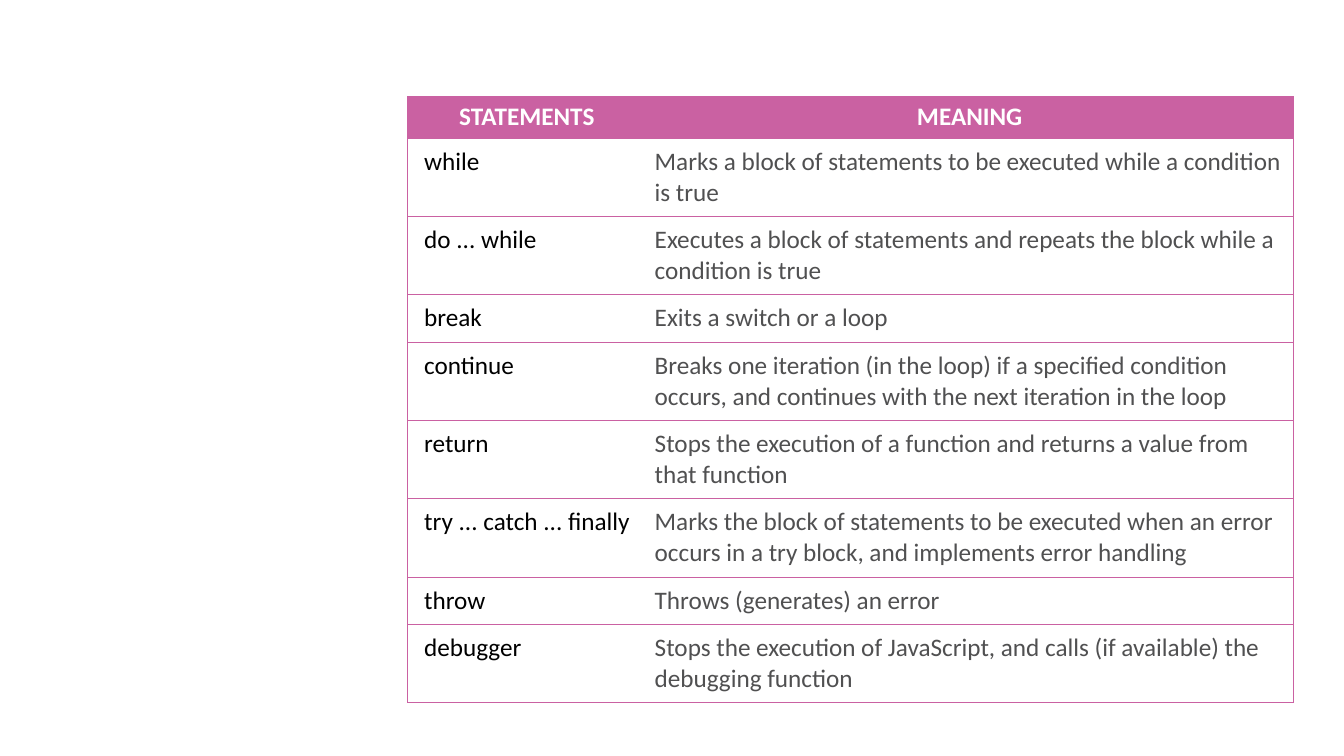
from lxml import etree
from pptx import Presentation
from pptx.dml.color import RGBColor
from pptx.enum.text import PP_ALIGN
from pptx.oxml.ns import qn
from pptx.util import Pt

CENTER, LEFT = PP_ALIGN.CENTER, PP_ALIGN.LEFT
BLANK_LAYOUT = 6
COLORS = {"pink": "CA61A2", "white": "FFFFFF", "black": "000000", "gray": "505051"}
BORDER_WIDTH = 0.5
ROW_HEIGHT = 29.5
COLUMN_WIDTHS = (170.7, 461.8)
HEADINGS = ("STATEMENTS", "MEANING")
STATEMENTS = [
    ("while", "Marks a block of statements to be executed while a condition is true"),
    ("do ... while", "Executes a block of statements and repeats the block while a condition is true"),
    ("break", "Exits a switch or a loop"),
    ("continue", "Breaks one iteration (in the loop) if a specified condition occurs, "
                 "and continues with the next iteration in the loop"),
    ("return", "Stops the execution of a function and returns a value from that function"),
    ("try ... catch ... finally", "Marks the block of statements to be executed when an error "
                                  "occurs in a try block, and implements error handling"),
    ("throw", "Throws (generates) an error"),
    ("debugger", "Stops the execution of JavaScript, and calls (if available) the debugging function"),
]
HEADING_MARGINS = {"margin_left": 7.2, "margin_top": 3.6, "margin_right": 7.2, "margin_bottom": 3.6}
MEANING_MARGINS = {"margin_left": 6, "margin_top": 6, "margin_right": 6, "margin_bottom": 6}
KEYWORD_MARGINS = {**MEANING_MARGINS, "margin_left": 12}


def set_borders(cell, visible_sides):
    properties = cell._tc.get_or_add_tcPr()
    for position, side in enumerate("LRTB"):
        border = etree.Element(qn(f"a:ln{side}"), w=str(Pt(BORDER_WIDTH)))
        if side in visible_sides:
            fill = etree.SubElement(border, qn("a:solidFill"))
            etree.SubElement(fill, qn("a:srgbClr"), val=COLORS["pink"])
        else:
            etree.SubElement(border, qn("a:noFill"))
        properties.insert(position, border)


def write_cell(cell, wording, margins, color, align, bold):
    for name, value in margins.items():
        setattr(cell, name, Pt(value))
    cell.text = wording
    paragraph = cell.text_frame.paragraphs[0]
    paragraph.alignment = align
    font = paragraph.runs[0].font
    for name, value in {"name": "Calibri", "size": Pt(18), "bold": bold}.items():
        setattr(font, name, value)
    font.color.rgb = RGBColor.from_string(COLORS[color])


def add_statement_table(slide, left, top, width, height):
    rows = [HEADINGS, *STATEMENTS]
    frame = slide.shapes.add_table(len(rows), len(HEADINGS), Pt(left), Pt(top), Pt(width), Pt(height))
    table = frame.table
    table.horz_banding = False
    for column, column_width in zip(table.columns, COLUMN_WIDTHS):
        column.width = Pt(column_width)
    for row_index, (row, wordings) in enumerate(zip(table.rows, rows)):
        row.height = Pt(ROW_HEIGHT)
        for column_index, (cell, wording) in enumerate(zip(row.cells, wordings)):
            if row_index == 0:
                cell.fill.solid()
                cell.fill.fore_color.rgb = RGBColor.from_string(COLORS["pink"])
                write_cell(cell, wording, HEADING_MARGINS, "white", CENTER, True)
            else:
                cell.fill.background()
                margins, color = ((KEYWORD_MARGINS, "black"), (MEANING_MARGINS, "gray"))[column_index]
                write_cell(cell, wording, margins, color, LEFT, False)
            set_borders(cell, "TB" + "LR"[column_index])
    frame.height = Pt(height)


def main():
    presentation = Presentation()
    presentation.slide_width, presentation.slide_height = Pt(960), Pt(540)
    slide = presentation.slides.add_slide(presentation.slide_layouts[BLANK_LAYOUT])
    add_statement_table(slide, 291, 69, sum(COLUMN_WIDTHS), 427.7)
    presentation.save("out.pptx")


if __name__ == "__main__":
    main()
